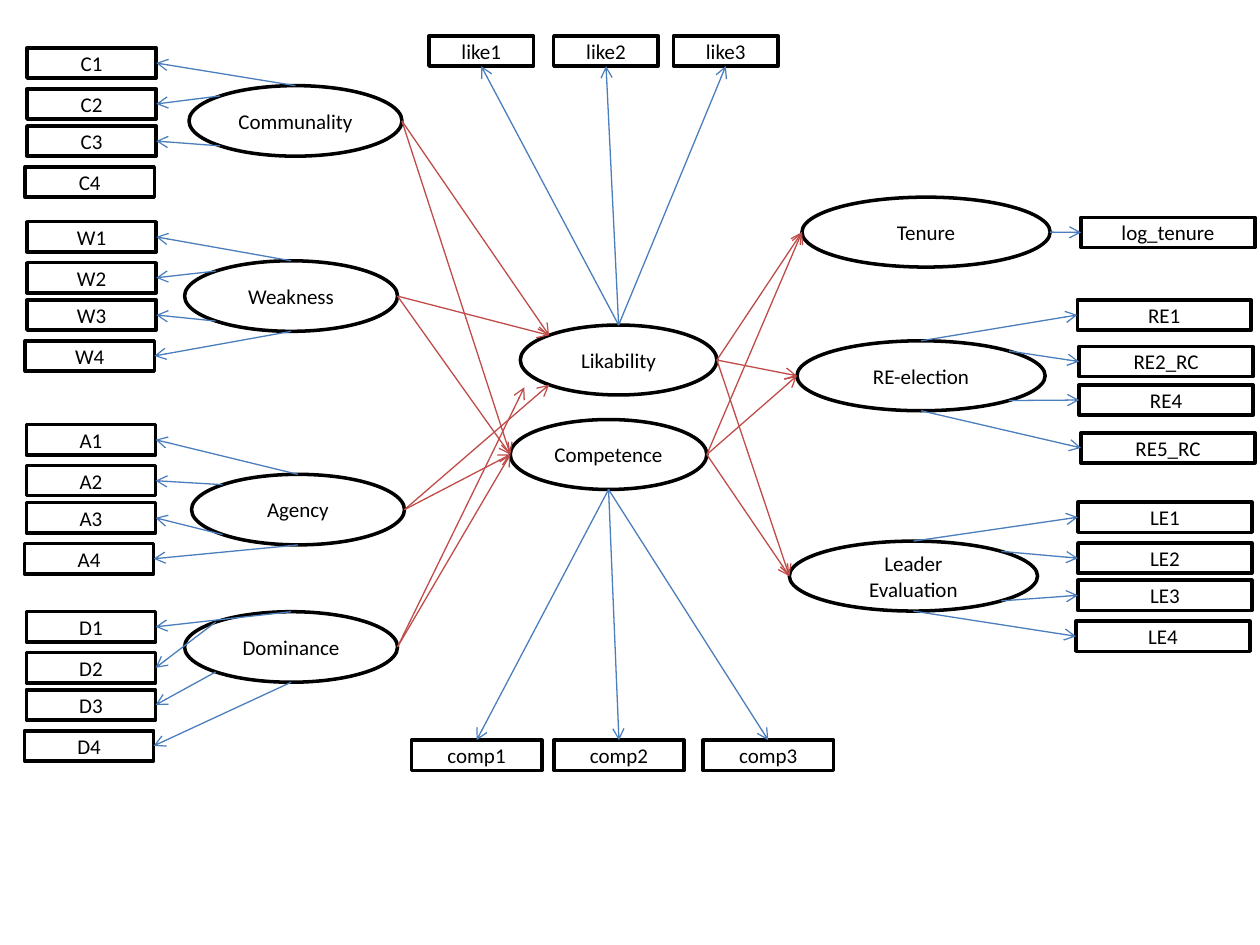
from dataclasses import dataclass

from lxml import etree
from pptx import Presentation
from pptx.dml.color import RGBColor
from pptx.enum.shapes import MSO_CONNECTOR, MSO_SHAPE
from pptx.enum.text import MSO_ANCHOR, PP_ALIGN
from pptx.oxml.ns import qn
from pptx.util import Inches, Pt

OVAL, BOX = MSO_SHAPE.OVAL, MSO_SHAPE.RECTANGLE
STRAIGHT = MSO_CONNECTOR.STRAIGHT
MIDDLE, CENTER = MSO_ANCHOR.MIDDLE, PP_ALIGN.CENTER


@dataclass(frozen=True)
class Theme:
    font: str = "Calibri"
    text_size: float = 12
    outline_width: float = 2
    arrow_width: float = 0.75
    ink: str = "000000"
    paper: str = "FFFFFF"
    loading: str = "4B7EBC"
    effect: str = "BF4C48"


@dataclass(frozen=True)
class Node:
    label: str
    column: float
    row: float
    columns: float
    rows: float

    def at(self, anchor: tuple[float, float]) -> tuple[int, int]:
        across, down = anchor
        return (round((self.column + across * self.columns) * CELL),
                round((self.row + down * self.rows) * CELL))


@dataclass(frozen=True)
class Scale:
    factor: str
    items: tuple[str, ...]
    column: float
    row: float
    columns: float
    steps: tuple[tuple[float, float], ...]
    exits: tuple[tuple[float, float], ...]
    entry: tuple[float, float]


@dataclass(frozen=True)
class Effect:
    cause: str
    outcome: str
    entry: tuple[float, float]


THEME = Theme()
GRID_COLUMNS, GRID_ROWS = 1000, 750
CELL = Inches(10) / GRID_COLUMNS
ITEM_ROWS = 24

NEAR, FAR = 0.146, 0.854
TOP, BOTTOM, LEFT, RIGHT = (0.5, 0), (0.5, 1), (0, 0.5), (1, 0.5)
TOP_LEFT, BOTTOM_LEFT = (NEAR, NEAR), (NEAR, FAR)
TOP_RIGHT, BOTTOM_RIGHT = (FAR, NEAR), (FAR, FAR)
LOW_LEFT = (0.02, 0.89)

FACTORS = {node.label: node for node in (
    Node("Competence", 405, 333, 156, 55.5),
    Node("Likability", 413, 258, 156, 55.5),
    Node("Communality", 150, 68, 169, 56),
    Node("Weakness", 146.5, 207, 169, 56),
    Node("Agency", 152, 376.5, 169, 56),
    Node("Dominance", 146.5, 485.5, 169, 56),
    Node("Tenure", 636.5, 156.5, 197, 55.5),
    Node("RE-election", 632.5, 270.5, 197, 55.5),
    Node("Leader Evaluation", 626.5, 429.5, 197, 55.5),
)}

STACK = ((0, 0), (0, 32.5), (0, 62), (-1.5, 94.5))
ELECTION_STACK = ((0, 0), (1.5, 37), (1.5, 67.5), (3, 105.5))
LEFT_EXITS = (TOP, TOP_LEFT, BOTTOM_LEFT, BOTTOM)
RIGHT_EXITS = (TOP, TOP_RIGHT, BOTTOM_RIGHT, BOTTOM)


def numbered(prefix: str, count: int) -> tuple[str, ...]:
    return tuple(f"{prefix}{number}" for number in range(1, count + 1))


SCALES = (
    Scale("Likability", numbered("like", 3), 340.5, 28.5, 83,
          ((0, 0), (99, 0), (194, 0)), (TOP,) * 3, BOTTOM),
    Scale("Competence", numbered("comp", 3), 326.5, 587.5, 103.5,
          ((0, 0), (113, 0), (231.5, 0)), (BOTTOM,) * 3, TOP),
    Scale("Communality", numbered("C", 4), 21.5, 38, 102.5, STACK, LEFT_EXITS[:3], RIGHT),
    Scale("Weakness", numbered("W", 4), 21.5, 176, 102.5, STACK, LEFT_EXITS, RIGHT),
    Scale("Agency", numbered("A", 4), 21, 337, 102.5, STACK, LEFT_EXITS, RIGHT),
    Scale("Dominance", numbered("D", 4), 21, 485.5, 102.5, STACK, LEFT_EXITS, RIGHT),
    Scale("Tenure", ("log_tenure",), 858, 172.5, 138, STACK[:1], (RIGHT,), LEFT),
    Scale("RE-election", ("RE1", "RE2_RC", "RE4", "RE5_RC"), 855, 238, 138,
          ELECTION_STACK, RIGHT_EXITS, LEFT),
    Scale("Leader Evaluation", numbered("LE", 4), 855.5, 398.5, 138,
          STACK, RIGHT_EXITS, LEFT),
)

LIKABILITY_ENTRIES = {"Communality": TOP_LEFT, "Weakness": TOP_LEFT,
                      "Agency": BOTTOM_LEFT, "Dominance": LOW_LEFT}
EFFECTS = (
    *(Effect(trait, "Likability", entry) for trait, entry in LIKABILITY_ENTRIES.items()),
    *(Effect(trait, "Competence", LEFT) for trait in LIKABILITY_ENTRIES),
    *(Effect(judgement, outcome, LEFT) for judgement in ("Likability", "Competence")
      for outcome in ("Tenure", "RE-election", "Leader Evaluation")),
)


def draw_node(slide, node: Node, outline, filled: bool) -> None:
    left, top = node.at((0, 0))
    shape = slide.shapes.add_shape(outline, left, top, round(node.columns * CELL),
                                   round(node.rows * CELL))
    shape.shadow.inherit = False
    if filled:
        shape.fill.solid()
        shape.fill.fore_color.rgb = RGBColor.from_string(THEME.paper)
    else:
        shape.fill.background()
    shape.line.color.rgb = RGBColor.from_string(THEME.ink)
    shape.line.width = Pt(THEME.outline_width)
    frame = shape.text_frame
    frame.word_wrap = True
    frame.vertical_anchor = MIDDLE
    paragraph = frame.paragraphs[0]
    paragraph.alignment = CENTER
    run = paragraph.add_run()
    run.text = node.label
    run.font.name = THEME.font
    run.font.size = Pt(THEME.text_size)
    run.font.color.rgb = RGBColor.from_string(THEME.ink)


def draw_arrow(slide, start: tuple[int, int], end: tuple[int, int], color: str) -> None:
    arrow = slide.shapes.add_connector(STRAIGHT, *start, *end)
    arrow.line.color.rgb = RGBColor.from_string(color)
    arrow.line.width = Pt(THEME.arrow_width)
    etree.SubElement(arrow.line._get_or_add_ln(), qn("a:tailEnd"), type="arrow")
    etree.SubElement(arrow._element.spPr, qn("a:effectLst"))


def scale_items(scale: Scale) -> list[Node]:
    return [Node(label, scale.column + across, scale.row + down, scale.columns, ITEM_ROWS)
            for label, (across, down) in zip(scale.items, scale.steps)]


def build() -> None:
    deck = Presentation()
    deck.slide_width = round(GRID_COLUMNS * CELL)
    deck.slide_height = round(GRID_ROWS * CELL)
    slide = deck.slides.add_slide(deck.slide_layouts[6])
    for factor in FACTORS.values():
        draw_node(slide, factor, OVAL, True)
    for scale in SCALES:
        for item in scale_items(scale):
            draw_node(slide, item, BOX, False)
    for scale in SCALES:
        for item, exit_point in zip(scale_items(scale), scale.exits):
            draw_arrow(slide, FACTORS[scale.factor].at(exit_point),
                       item.at(scale.entry), THEME.loading)
    for effect in EFFECTS:
        draw_arrow(slide, FACTORS[effect.cause].at(RIGHT),
                   FACTORS[effect.outcome].at(effect.entry), THEME.effect)
    deck.save("out.pptx")


build()
